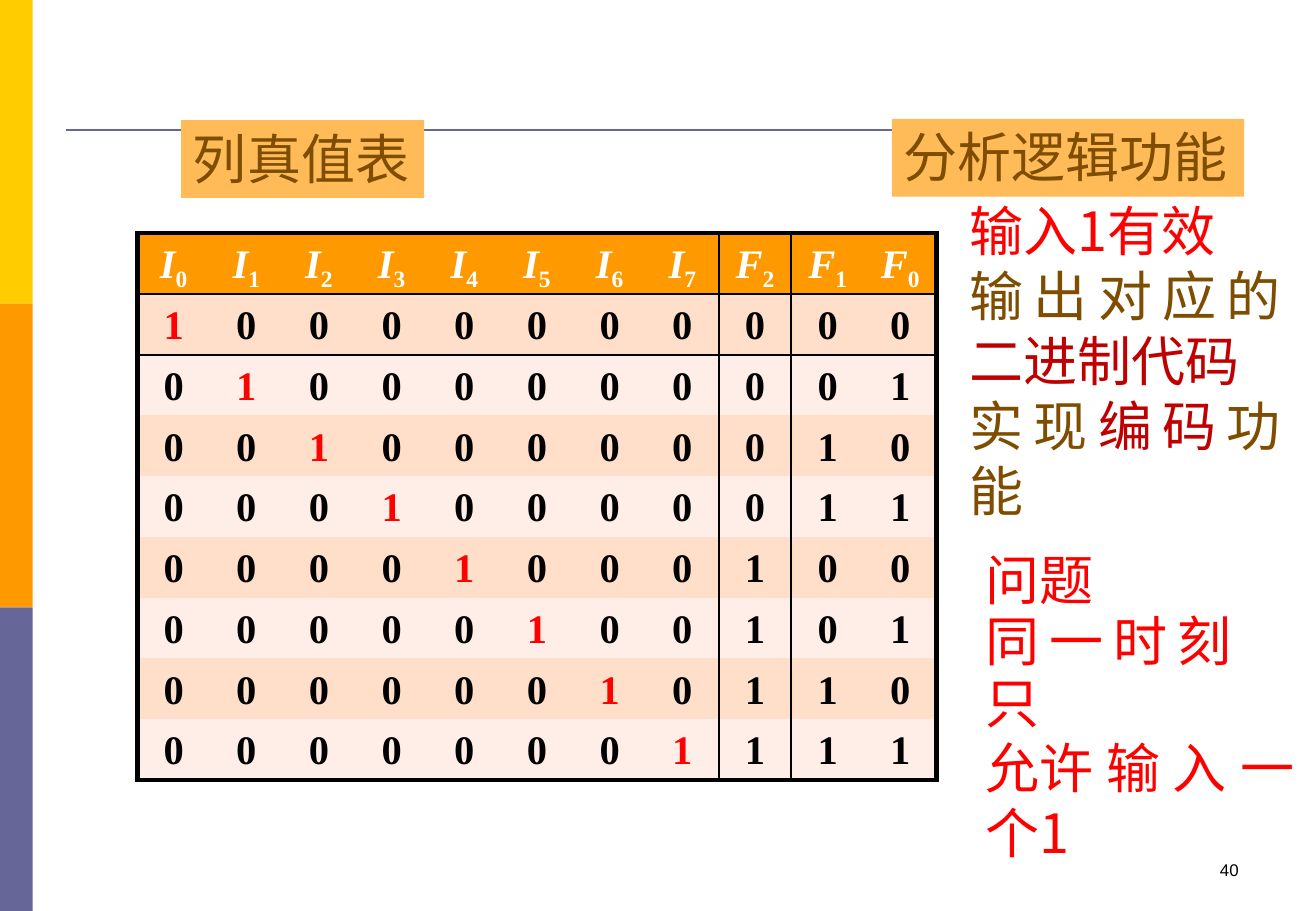
import pptx
import pptx.util
import pptx.dml.color
import pptx.enum.shapes
import pptx.enum.text
import pptx.oxml
import pptx.oxml.ns
from lxml import etree

PX = 9144  # EMU per px, 100 px to the inch
CJK, SERIF, SANS = "Noto Sans CJK SC", "Times New Roman", "Arial"
COLORS = {
    "yellow": "FFCC00", "orange": "FF9900", "slate": "666699",
    "label": "FFBB57", "brown": "7E4D00", "red": "FF0000", "dark_red": "C00000",
    "row_dark": "FFDECA", "row_light": "FFEEE7", "black": "000000", "white": "FFFFFF",
}
NO_STYLE = "{2D5ABB26-0587-4C30-8999-92F81FD0307C}"
qn = pptx.oxml.ns.qn


def px(n):
    return pptx.util.Emu(round(n * PX))


def rgb(name):
    return pptx.dml.color.RGBColor.from_string(COLORS[name])


def set_font(font, name, size, color, bold=False):
    font.name, font.size, font.bold = name, pptx.util.Pt(size), bold
    font.color.rgb = rgb(color)
    if name == CJK:
        etree.SubElement(font._element, qn("a:ea")).set("typeface", name)


def set_frame(tf, left=0, top=0):
    tf.margin_left, tf.margin_top = px(left), px(top)
    tf.margin_right = tf.margin_bottom = 0
    tf.word_wrap = True
    tf.vertical_anchor = pptx.enum.text.MSO_ANCHOR.TOP


def add_rect(s, x, y, w, h, color):
    sp = s.shapes.add_shape(pptx.enum.shapes.MSO_SHAPE.RECTANGLE, px(x), px(y), px(w), px(h))
    sp.shadow.inherit = False
    sp.fill.solid()
    sp.fill.fore_color.rgb = rgb(color)
    sp.line.fill.background()
    return sp


def side_bands(s, x, y, w, h):
    colors = ["yellow", "orange", "slate"]
    step = h // len(colors)
    for i, color in enumerate(colors):
        add_rect(s, x, y + i * step, w, step, color)


def title_rule(s, x1, x2, y):
    line = s.shapes.add_connector(pptx.enum.shapes.MSO_CONNECTOR.STRAIGHT,
                                  px(x1), px(y), px(x2), px(y))
    line.line.color.rgb = rgb("slate")
    line.line.width = pptx.util.Pt(1.56)
    etree.SubElement(line._element.spPr, qn("a:effectLst"))


def label(s, x, y, w, h, text):
    tf = add_rect(s, x, y, w, h, "label").text_frame
    set_frame(tf, 10, 4)
    p = tf.paragraphs[0]
    p.text = text
    p.alignment = pptx.enum.text.PP_ALIGN.LEFT
    set_font(p.font, CJK, 32, "brown")


def cell_borders(cell, widths):
    """Draw the sides given in widths (points); clear the others."""
    tcPr = cell._tc.get_or_add_tcPr()
    for i, side in enumerate("LRTB"):
        ln = etree.Element(qn("a:ln" + side))
        if side in widths:
            ln.set("w", str(int(widths[side] * 12700)))
            fill = etree.SubElement(ln, qn("a:solidFill"))
            etree.SubElement(fill, qn("a:srgbClr")).set("val", COLORS["black"])
        else:
            ln.set("w", "0")
            etree.SubElement(ln, qn("a:noFill"))
        tcPr.insert(i, ln)


def truth_table(s, x, y, w, h):
    names = [("I", i) for i in range(8)] + [("F", i) for i in (2, 1, 0)]
    n_rows, n_cols = 9, len(names)
    tbl = s.shapes.add_table(n_rows, n_cols, px(x), px(y), px(w), px(h)).table
    tbl.first_row = tbl.horz_banding = False
    tbl._tbl.tblPr.find(qn("a:tableStyleId")).text = NO_STYLE
    for col in tbl.columns:
        col.width = px(w / n_cols)
    for row in tbl.rows:
        row.height = px(h / n_rows)

    # Lines by the index of the row or column that follows them
    row_lines = {0: 3, 1: 1.5, 2: 1.5, n_rows: 3}
    col_lines = {0: 3, 8: 1.5, 9: 1.5, n_cols: 3}
    for r in range(n_rows):
        for c, (letter, index) in enumerate(names):
            cell = tbl.cell(r, c)
            cell.margin_left = cell.margin_right = cell.margin_bottom = 0
            cell.margin_top = px(8)
            p = cell.text_frame.paragraphs[0]
            p.alignment = pptx.enum.text.PP_ALIGN.CENTER
            if r == 0:
                fill, color = "orange", "white"
                run = p.add_run()
                run.text = letter
                run.font.italic = True
                sub = p.add_run()
                sub.text = str(index)
                sub.font._element.set("baseline", "-21000")
            else:
                code = r - 1
                active = letter == "I" and index == code
                bit = int(active) if letter == "I" else code >> index & 1
                fill = "row_dark" if r % 2 else "row_light"
                color = "red" if active else "black"
                p.text = str(bit)
            set_font(p.font, SERIF, 24, color, bold=True)
            cell.fill.solid()
            cell.fill.fore_color.rgb = rgb(fill)
            sides = {"L": col_lines.get(c), "R": col_lines.get(c + 1),
                     "T": row_lines.get(r), "B": row_lines.get(r + 1)}
            cell_borders(cell, {k: v for k, v in sides.items() if v})


def notes(s, x, y, w, h):
    # Each paragraph: indent, right indent, space before, line pitch, runs
    # Each run: text, colour, letter spacing in points
    paragraphs = [
        (1, 0, 0, None, [("输入", "red", 0), ("1", "red", -0.1), ("有效", "red", 0)]),
        (1, 0, 0, None, [("输出", "brown", 6), ("对", "brown", 5.8), ("应", "brown", 6),
                         ("的 ", "brown", 0), ("二进制代码 ", "dark_red", 0),
                         ("实现", "brown", 6), ("编", "dark_red", 5.9),
                         ("码", "dark_red", 6), ("功 能", "brown", 0)]),
        (14, 20, 16.2, 36.6, [("问题", "red", 0)]),
        (14, 20, 0, 36.6, [("同一", "red", 6), ("时", "red", 5.8), ("刻", "red", 6),
                           ("只", "red", 0)]),
        (14, 0, 0, None, [("允", "red", 0), ("许 输 ", "red", 0.1), ("入", "red", 7.9),
                          ("一 ", "red", 0.1), ("个1", "red", 0)]),
    ]
    tf = s.shapes.add_textbox(px(x), px(y), px(w), px(h)).text_frame
    set_frame(tf, 0, 2)
    for i, (left, right, before, pitch, runs) in enumerate(paragraphs):
        p = tf.add_paragraph() if i else tf.paragraphs[0]
        pPr = p._p.get_or_add_pPr()
        pPr.set("marL", str(px(left)))
        pPr.set("marR", str(px(right)))
        if before:
            p.space_before = pptx.util.Pt(before)
        if pitch:
            p.line_spacing = pptx.util.Pt(pitch)
        set_font(p.font, CJK, 32, runs[0][1])
        for text, color, spacing in runs:
            r = p.add_run()
            r.text = text
            r.font.color.rgb = rgb(color)
            r.font._element.set("spc", str(round(spacing * 100)))


def page_number(s, x, y, w, h, text):
    tf = s.shapes.add_textbox(px(x), px(y), px(w), px(h)).text_frame
    set_frame(tf, 4)
    p = tf.paragraphs[0]
    p.text = text
    set_font(p.font, SANS, 10, "black")


def main():
    prs = pptx.Presentation()
    prs.slide_width, prs.slide_height = px(1083), px(750)
    s = prs.slides.add_slide(prs.slide_layouts[6])
    # Frame
    side_bands(s, 0, 0, 27, 750)
    title_rule(s, 54, 149, 107)
    title_rule(s, 349, 734, 107)
    # Truth table
    label(s, 149, 99, 200, 64, "列真值表")
    truth_table(s, 113, 192, 658, 450)
    # Analysis
    label(s, 734, 98, 290, 64, "分析逻辑功能")
    notes(s, 797, 161, 271, 501)
    page_number(s, 1000, 708, 24, 18, "40")
    prs.save("out.pptx")


if __name__ == "__main__":
    main()
